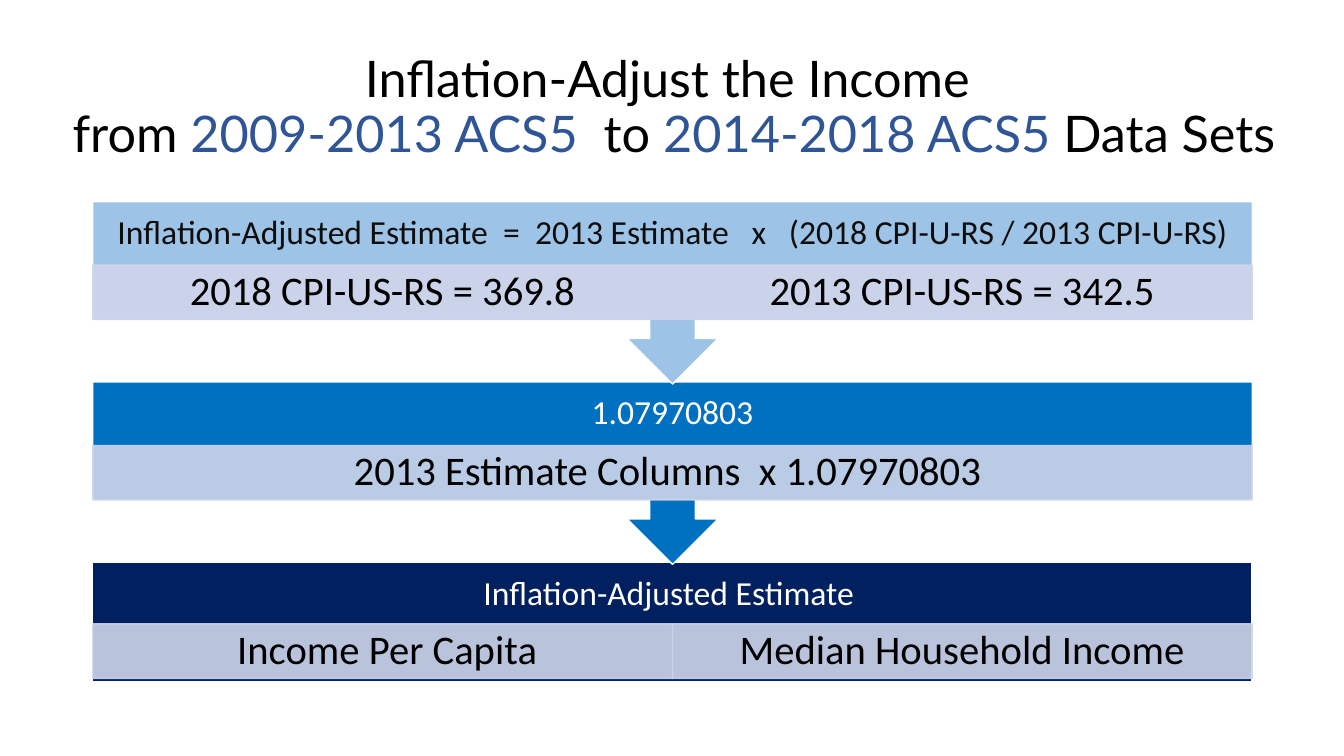
import pptx
import pptx.dml.color
import pptx.enum.shapes
import pptx.enum.text
import pptx.oxml
import pptx.util
from pptx.util import Inches

RGBColor = pptx.dml.color.RGBColor
Preset = pptx.enum.shapes.MSO_SHAPE

BLACK = RGBColor(0x00, 0x00, 0x00)
NEAR_BLACK = RGBColor(0x0D, 0x0D, 0x0D)
WHITE = RGBColor(0xFF, 0xFF, 0xFF)
ACCENT = RGBColor(0x2F, 0x55, 0x97)
NAVY = RGBColor(0x00, 0x20, 0x60)
BLUE = RGBColor(0x00, 0x70, 0xC0)
SKY = RGBColor(0x9D, 0xC3, 0xE6)
PALE = RGBColor(0xCF, 0xD5, 0xEA)

TITLE_LINES = [
    [("Inflation-Adjust the Income", BLACK)],
    [(" from ", BLACK), ("2009-2013 ACS5  ", ACCENT), ("to ", BLACK),
     ("2014-2018 ACS5 ", ACCENT), ("Data Sets", BLACK)],
]
STEPS = [
    {"header": "Inflation-Adjusted Estimate  =  2013 Estimate   x   (2018 CPI-U-RS / 2013 CPI-U-RS)",
     "color": NEAR_BLACK, "fill": SKY,
     "details": ["2018 CPI-US-RS = 369.8", "2013 CPI-US-RS = 342.5"]},
    {"header": "1.07970803", "color": WHITE, "fill": BLUE,
     "details": ["2013 Estimate Columns  x 1.07970803 "]},
    {"header": "Inflation-Adjusted Estimate ", "color": WHITE, "fill": NAVY,
     "details": [" Income Per Capita", "Median Household Income"]},
]

LEFT, TOP, WIDTH = 0.92, 2.0, 11.5
STEP_PITCH = 1.79
CALLOUT_HEIGHT, LAST_HEIGHT = 1.81, 1.18
HEADER_HEIGHT, DETAIL_HEIGHT = 0.63, 0.54
LAST_DETAIL_OFFSET = 0.61


def write_text(shape, lines, font="Calibri", size=24, inset_x=0.1, inset_y=0.05):
    """Fill a shape with one centred paragraph; each line is a list of (text, colour)."""
    frame = shape.text_frame
    frame.word_wrap = True
    frame.vertical_anchor = pptx.enum.text.MSO_ANCHOR.MIDDLE
    frame.margin_left = frame.margin_right = Inches(inset_x)
    frame.margin_top = frame.margin_bottom = Inches(inset_y)
    paragraph = frame.paragraphs[0]
    paragraph.alignment = pptx.enum.text.PP_ALIGN.CENTER
    paragraph.line_spacing = 0.9
    for index, line in enumerate(lines):
        if index:
            paragraph.add_line_break()
        for text, color in line:
            run = paragraph.add_run()
            run.text = text
            run.font.name = font
            run.font.size = pptx.util.Pt(size)
            run.font.color.rgb = color


def add_box(slide, preset, left, top, width, height, fill, line, opacity=100):
    shape = slide.shapes.add_shape(
        preset, Inches(left), Inches(top), Inches(width), Inches(height))
    shape.shadow.inherit = False
    shape.fill.solid()
    shape.fill.fore_color.rgb = fill
    shape.line.color.rgb = line
    shape.line.width = pptx.util.Pt(1)
    if opacity < 100:
        for color in shape.element.spPr.iter(pptx.oxml.ns.qn("a:srgbClr")):
            alpha = pptx.oxml.parse_xml(
                '<a:alpha xmlns:a="http://schemas.openxmlformats.org/drawingml/2006/main" '
                f'val="{opacity * 1000}"/>')
            color.append(alpha)
    return shape


def add_text_box(slide, left, top, width, height, lines, **text_format):
    box = slide.shapes.add_textbox(
        Inches(left), Inches(top), Inches(width), Inches(height))
    write_text(box, lines, **text_format)


def add_step(slide, step, top, is_last):
    if is_last:
        add_box(slide, Preset.RECTANGLE, LEFT, top, WIDTH, LAST_HEIGHT, step["fill"], WHITE)
    else:
        callout = add_box(slide, Preset.UP_ARROW_CALLOUT, LEFT, top, WIDTH,
                          CALLOUT_HEIGHT, step["fill"], WHITE)
        callout.rotation = 180
    add_text_box(slide, LEFT, top, WIDTH, HEADER_HEIGHT,
                 [[(step["header"], step["color"])]], inset_x=0.19, inset_y=0.19)

    detail_top = top + (LAST_DETAIL_OFFSET if is_last else HEADER_HEIGHT)
    detail_width = WIDTH / len(step["details"])
    for column, text in enumerate(step["details"]):
        detail = add_box(slide, Preset.RECTANGLE, LEFT + column * detail_width, detail_top,
                         detail_width, DETAIL_HEIGHT, PALE, PALE, opacity=90)
        write_text(detail, [[(text, BLACK)]], size=29, inset_x=0.23, inset_y=0.04)


def main():
    presentation = pptx.Presentation()
    presentation.slide_width = Inches(13.33)
    presentation.slide_height = Inches(7.5)
    slide = presentation.slides.add_slide(presentation.slide_layouts[6])

    add_text_box(slide, 0.46, 0.37, 12.32, 1.42, TITLE_LINES, font="Lato", size=36)
    # Each arrow tip overlaps the step below it, so the lowest step goes in first.
    for index in reversed(range(len(STEPS))):
        add_step(slide, STEPS[index], TOP + index * STEP_PITCH, index == len(STEPS) - 1)

    presentation.save("out.pptx")


if __name__ == "__main__":
    main()
